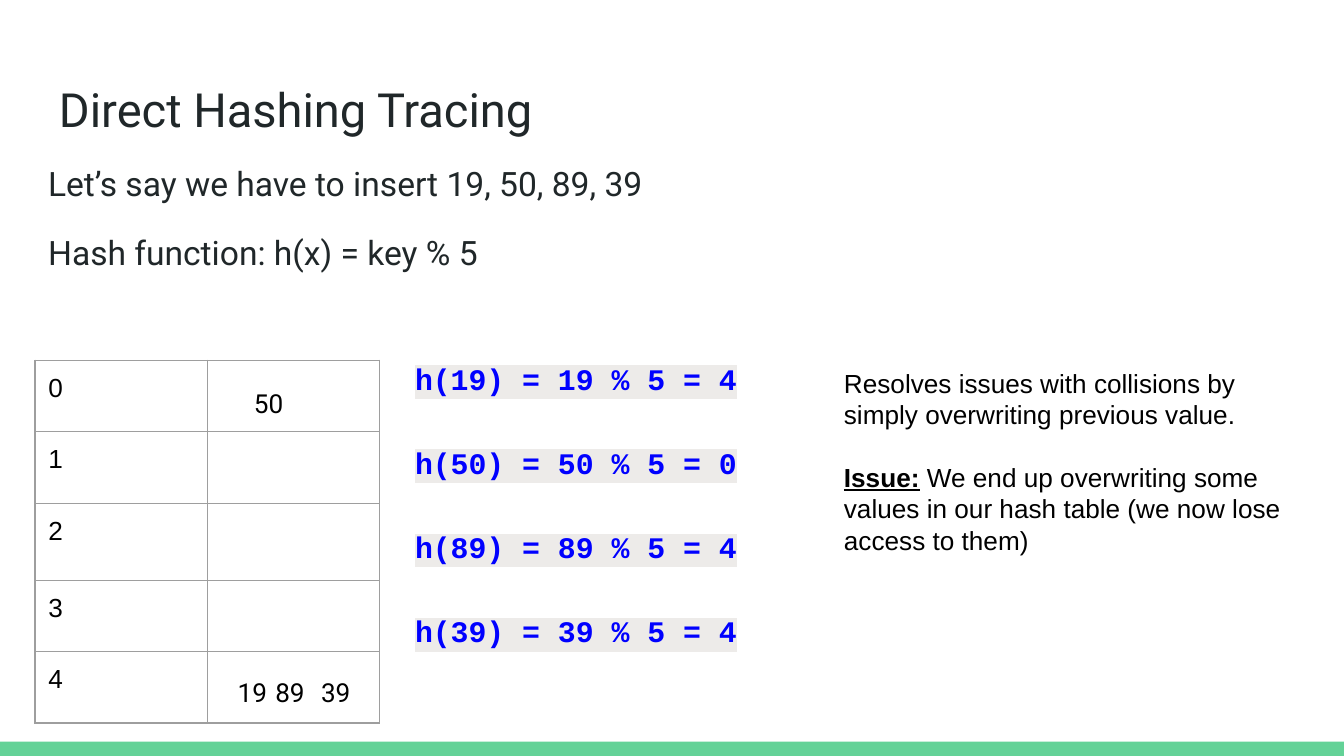
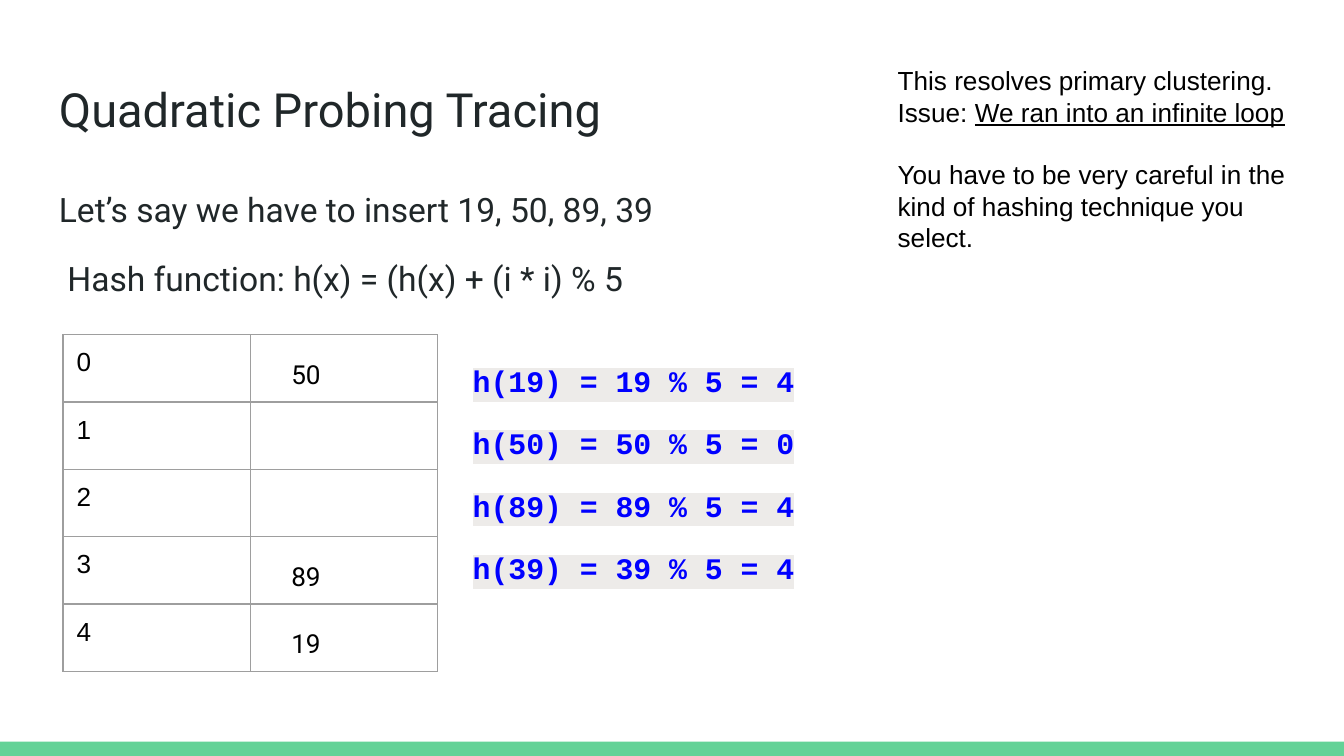
import pptx
import pptx.dml.color
import pptx.enum.shapes
import pptx.enum.text
import pptx.oxml
import pptx.oxml.ns
import pptx.util
from lxml import etree

Pt = pptx.util.Pt
RGBColor = pptx.dml.color.RGBColor
qn = pptx.oxml.ns.qn

GREEN = RGBColor(0x63, 0xD2, 0x97)
INK = RGBColor(0x20, 0x27, 0x29)
BLACK = RGBColor(0, 0, 0)
BLUE = RGBColor(0, 0, 0xFF)
HIGHLIGHT = RGBColor(0xED, 0xEB, 0xE9)
BORDER = RGBColor(0x9E, 0x9E, 0x9E)


def style_runs(paragraph, font_name, size, color):
    for run in paragraph.runs:
        run.font.name = font_name
        run.font.size = Pt(size)
        run.font.color.rgb = color


def add_text(slide, box, text, font_name, size, color):
    shape = slide.shapes.add_textbox(*[Pt(length) for length in box])
    frame = shape.text_frame
    frame.word_wrap = True
    frame.margin_left = frame.margin_right = Pt(7.2)
    frame.margin_top = frame.margin_bottom = Pt(7.2)
    frame.text = text
    for paragraph in frame.paragraphs:
        style_runs(paragraph, font_name, size, color)
    return frame


SLIDES = [
    {
        "title": "Direct Hashing Tracing",
        "body": "Let’s say we have to insert 19, 50, 89, 39\nHash function: h(x) = key % 5",
        "body_box": (18.7, 77, 676.8, 295),
        "hash_indent": 0,
        "table_at": (18.7, 193),
        "column_width": 92.3,
        "row_heights": [38.3, 38.3, 41.2, 38.3, 38.3],
        "values": [("50", 128.9, 200.2, 37.4), ("19", 120.2, 355, 37.4),
                   ("89", 140.4, 355, 47.5), ("39", 164.9, 355, 30.2)],
        "hash_at": (215.3, 185.8),
        "hash_step": 45.1,
        "notes_box": (445, 189.4, 262.8, 142.6),
        "notes": [
            (0, [("Resolves issues with collisions by simply overwriting previous value.", False, False)]),
            (16.8, [("Issue:", True, True),
                    (" We end up overwriting some values in our hash table "
                     "(we now lose access to them)", False, False)]),
        ],
    },
    {
        "title": "Quadratic Probing Tracing",
        "body": "Let’s say we have to insert 19, 50, 89, 39\nHash function: h(x) = (h(x) + (i * i) % 5",
        "body_box": (24.5, 90.7, 671, 269.3),
        "hash_indent": 4.5,
        "table_at": (33.8, 179.3),
        "column_width": 100.3,
        "row_heights": [36.1] * 5,
        "values": [("50", 149, 185, 41), ("89", 149, 293, 41), ("19", 149, 329, 41)],
        "hash_at": (246.2, 187.2),
        "hash_step": 33.4,
        "notes_box": (473.8, 27.4, 237.6, 175),
        "notes": [
            (0, [("This resolves primary clustering.", False, False)]),
            (0, [("Issue: ", False, False), ("We ran into an infinite loop", False, True)]),
            (16.8, [("You have to be very careful in the kind of hashing technique you select.",
                     False, False)]),
        ],
    },
]

presentation = pptx.Presentation()
presentation.slide_width = Pt(720)
presentation.slide_height = Pt(405)

for content in SLIDES:
    slide = presentation.slides.add_slide(presentation.slide_layouts[6])

    band = slide.shapes.add_shape(
        pptx.enum.shapes.MSO_SHAPE.RECTANGLE, Pt(0), Pt(397.3), Pt(720), Pt(7.7))
    band.shadow.inherit = False
    band.fill.solid()
    band.fill.fore_color.rgb = GREEN
    band.line.fill.background()

    title = add_text(slide, (24.5, 35.3, 671, 45.4), content["title"], "Roboto", 25.2, INK)
    title.vertical_anchor = pptx.enum.text.MSO_ANCHOR.BOTTOM

    body = add_text(slide, content["body_box"], content["body"], "Roboto", 18, INK)
    for paragraph in body.paragraphs:
        paragraph.line_spacing = 1.15
    hash_paragraph = body.paragraphs[1]
    hash_paragraph.space_before = Pt(12)
    hash_paragraph._p.get_or_add_pPr().set("marL", str(Pt(content["hash_indent"])))

    left, top = content["table_at"]
    heights = content["row_heights"]
    table = slide.shapes.add_table(
        len(heights), 2, Pt(left), Pt(top),
        Pt(2 * content["column_width"]), Pt(sum(heights))).table
    table.first_row = False
    table.horz_banding = False
    for column in table.columns:
        column.width = Pt(content["column_width"])
    for index, height in enumerate(heights):
        table.rows[index].height = Pt(height)
        key_cell = table.cell(index, 0)
        key_cell.margin_left = key_cell.margin_right = Pt(7.2)
        key_cell.margin_top = key_cell.margin_bottom = Pt(7.2)
        key_cell.text_frame.text = str(index)
        style_runs(key_cell.text_frame.paragraphs[0], "Arial", 14, BLACK)
    for cell in table.iter_cells():
        properties = cell._tc.get_or_add_tcPr()
        for side in ("a:lnL", "a:lnR", "a:lnT", "a:lnB"):
            line = etree.SubElement(properties, qn(side), w=str(Pt(0.75)))
            fill = etree.SubElement(line, qn("a:solidFill"))
            etree.SubElement(fill, qn("a:srgbClr"), val=str(BORDER))
        cell.fill.background()

    for value, left, top, width in content["values"]:
        add_text(slide, (left, top, width, 24), value, "Roboto", 14, BLACK)

    left, top = content["hash_at"]
    for index, key in enumerate((19, 50, 89, 39)):
        frame = add_text(slide, (left, top + index * content["hash_step"], 227.5, 33),
                         f"h({key}) = {key} % 5 = {key % 5}", "Courier New", 16, BLUE)
        run = frame.paragraphs[0].runs[0]
        run.font.bold = True
        highlight = etree.Element(qn("a:highlight"))
        etree.SubElement(highlight, qn("a:srgbClr"), val=str(HIGHLIGHT))
        run._r.rPr.find(qn("a:solidFill")).addnext(highlight)

    notes = add_text(slide, content["notes_box"], "", "Arial", 14, BLACK)
    for index, (space_before, pieces) in enumerate(content["notes"]):
        paragraph = notes.add_paragraph() if index else notes.paragraphs[0]
        if space_before:
            paragraph.space_before = Pt(space_before)
        for text, bold, underline in pieces:
            run = paragraph.add_run()
            run.text = text
            run.font.bold = bold
            run.font.underline = underline
        style_runs(paragraph, "Arial", 14, BLACK)

presentation.save("out.pptx")
